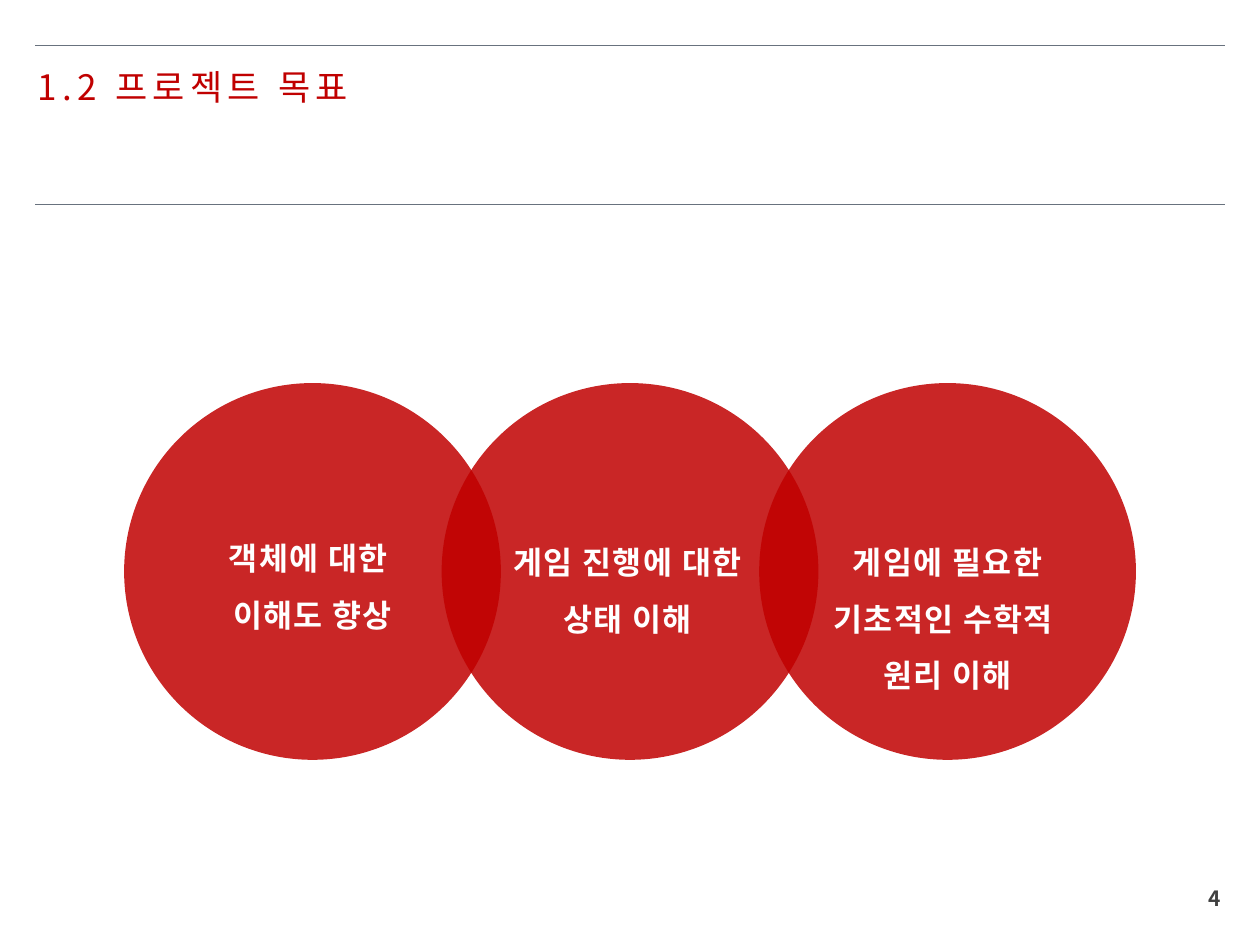
from dataclasses import dataclass

from lxml.etree import SubElement
from pptx import Presentation
from pptx.dml.color import RGBColor as Rgb
from pptx.enum.shapes import MSO_CONNECTOR as Connector, MSO_SHAPE as Shape
from pptx.enum.text import MSO_ANCHOR as Anchor, MSO_AUTO_SIZE as AutoSize, PP_ALIGN as Align
from pptx.oxml.ns import qn
from pptx.util import Inches, Pt

COLUMNS, ROWS = 100, 75


@dataclass(frozen=True)
class Theme:
    font: str = "Noto Sans CJK KR"
    red: Rgb = Rgb(0xC0, 0x00, 0x00)
    rule: Rgb = Rgb(0x68, 0x72, 0x7E)
    white: Rgb = Rgb(0xFF, 0xFF, 0xFF)
    grey: Rgb = Rgb(0x40, 0x40, 0x40)
    title_size: int = 20
    label_size: int = 18
    page_size: int = 12
    rule_width: float = 0.25
    circle_opacity: int = 85


class SlideBuilder:
    """Places styled elements on a grid of COLUMNS by ROWS."""

    def __init__(self, deck, theme):
        self.theme = theme
        self.column = deck.slide_width / COLUMNS
        self.row = deck.slide_height / ROWS
        self.slide = deck.slides.add_slide(deck.slide_layouts[5])

    def place(self, left, top, width, height):
        return (round(left * self.column), round(top * self.row),
                round(width * self.column), round(height * self.row))

    def fill_text(self, frame, lines, size, color, bold=False, tracking=0,
                  align=Align.LEFT, spacing=1.0, wrap=True):
        settings = {"word_wrap": wrap, "auto_size": AutoSize.SHAPE_TO_FIT_TEXT,
                    "vertical_anchor": Anchor.TOP}
        for name, value in settings.items():
            setattr(frame, name, value)
        frame.text = "\n".join(lines)
        for paragraph in frame.paragraphs:
            paragraph.alignment, paragraph.line_spacing = align, spacing
            for run in paragraph.runs:
                style = {"size": Pt(size), "bold": bold, "name": self.theme.font}
                for name, value in style.items():
                    setattr(run.font, name, value)
                run.font.color.rgb = color
                # Letter spacing and the East Asian typeface
                properties = run._r.get_or_add_rPr()
                properties.set("spc", str(round(tracking * 100)))
                SubElement(properties, qn("a:ea"), typeface=self.theme.font)

    def title(self, text, *box):
        heading = self.slide.shapes.title
        for name, value in zip(("left", "top", "width", "height"), self.place(*box)):
            setattr(heading, name, value)
        self.fill_text(heading.text_frame, [text], self.theme.title_size,
                       self.theme.red, tracking=3, spacing=0.9)

    def text(self, lines, box, **style):
        frame = self.slide.shapes.add_textbox(*self.place(*box)).text_frame
        self.fill_text(frame, lines, **style)

    def rule(self, left, right, top):
        x, y, width, _ = self.place(left, top, right - left, 0)
        rule = self.slide.shapes.add_connector(Connector.STRAIGHT, x, y, x + width, y)
        rule.line.color.rgb = self.theme.rule
        rule.line.width = Pt(self.theme.rule_width)
        SubElement(rule._element.spPr, qn("a:effectLst"))

    def circle(self, left, top, diameter):
        circle = self.slide.shapes.add_shape(
            Shape.OVAL, *self.place(left, top, diameter, diameter))
        circle.shadow.inherit = False
        circle.line.fill.background()
        circle.fill.solid()
        circle.fill.fore_color.rgb = self.theme.red
        color = circle._element.spPr.find(qn("a:solidFill"))[0]
        SubElement(color, qn("a:alpha"), val=str(self.theme.circle_opacity * 1000))


def main():
    deck = Presentation()
    deck.slide_width, deck.slide_height = Inches(10), Inches(7.5)
    theme = Theme()
    page = SlideBuilder(deck, theme)

    # Heading between two rules
    for top in (3.6, 16.2):
        page.rule(2.8, COLUMNS - 2.8, top)
    page.title("1.2 프로젝트 목표", 2, 5.1, 32.3, 4)

    # Three overlapping goals, centred on the slide
    diameter, pitch = 29.9, 25.2
    first = (COLUMNS - diameter) / 2 - pitch
    for index in range(3):
        page.circle(first + index * pitch, 30.4, diameter)

    # Goal labels
    goals = [
        (13.2, 40.8, ["객체에 대한 ", "이해도 향상"]),
        (38.2, 41.1, ["게임 진행에 대한", "상태 이해"]),
        (63.6, 41.1, ["게임에 필요한", "기초적인 수학적 ", "원리 이해"]),
    ]
    for left, top, lines in goals:
        page.text(lines, (left, top, 23.2, 0.5 + 4.5 * len(lines)),
                  size=theme.label_size, color=theme.white, bold=True,
                  tracking=0.8, align=Align.CENTER, spacing=1.5)

    # Page number
    page.text(["4"], (94.9, 69.8, 3, 3), size=theme.page_size, color=theme.grey,
              bold=True, wrap=False)

    deck.save("out.pptx")


if __name__ == "__main__":
    main()
